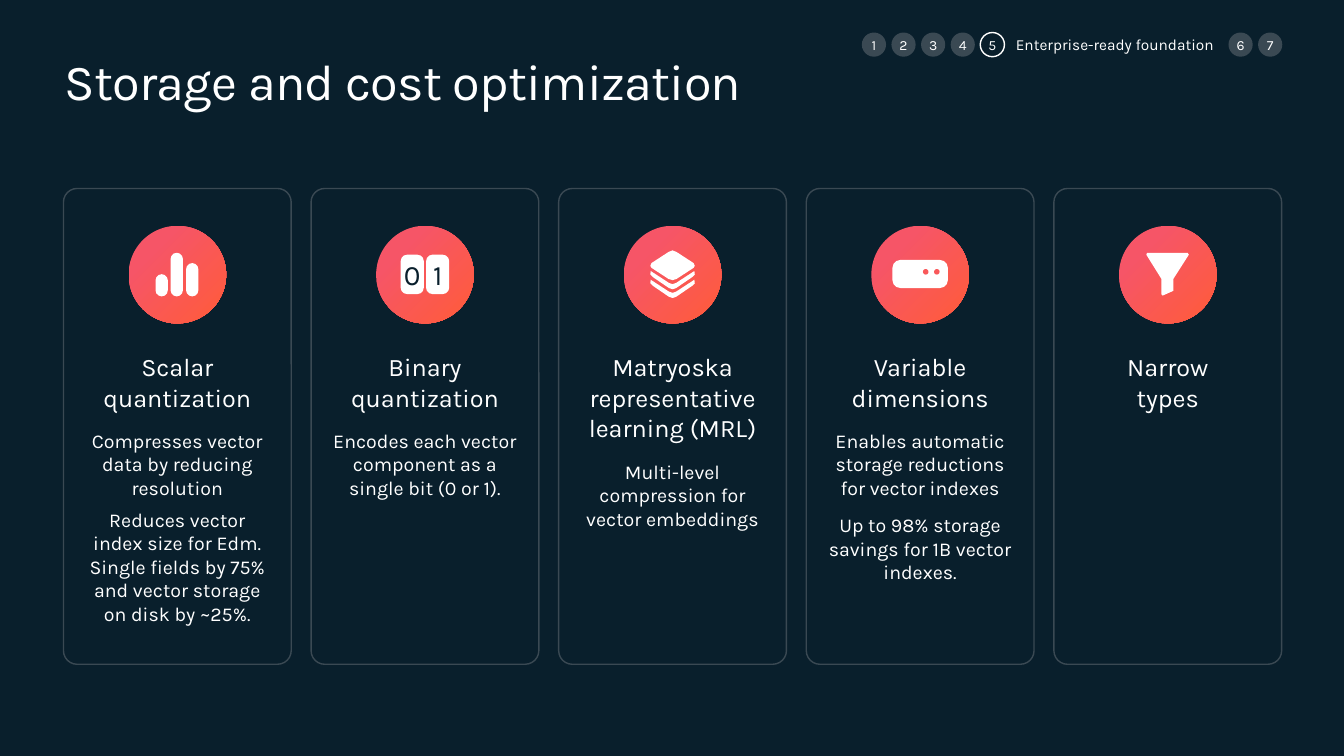
from lxml import etree
from pptx import Presentation
from pptx.dml.color import RGBColor
from pptx.enum import shapes, text
from pptx.oxml.ns import qn
from pptx.util import Cm, Pt

FONT = "Karla"
NAVY, GREY, WHITE = "091F2C", "3A4953", "FFFFFF"
ORANGE, PINK, CORAL = "FF5C39", "F65567", "F9585A"
KIND = shapes.MSO_SHAPE
LEFT, PITCH, WIDTH = 1.6, 6.24, 5.74
MID = 6.92

CARDS = [
    ("Scalar quantization", 4.7, 10.8, 0,
     ["Compresses vector data by reducing resolution",
      "Reduces vector index size for Edm. Single fields by 75% and vector storage on disk by ~25%."]),
    ("Binary quantization", 4.7, 10.8, 0,
     ["Encodes each vector component as a single bit (0 or 1)."]),
    ("Matryoska representative learning (MRL)", 4.7, 11.58, 0,
     ["Multi-level compression for vector embeddings"]),
    ("Variable dimensions", 4.7, 10.8, 4,
     ["Enables automatic storage reductions for vector indexes",
      "Up to 98% storage savings for 1B vector indexes."]),
    ("Narrow types", 3.6, 10.8, 0, []),
]


def rgb(code):
    """Turn a hex string into a colour."""
    return RGBColor.from_string(code)


def write(shape, lines, size, color=WHITE, center=True, after=0, middle=False):
    """Fill the text frame of a shape with paragraphs."""
    frame = shape.text_frame
    frame.margin_left = frame.margin_right = frame.margin_top = frame.margin_bottom = 0
    frame.word_wrap = True
    frame.vertical_anchor = text.MSO_ANCHOR.MIDDLE if middle else text.MSO_ANCHOR.TOP
    for i, line in enumerate(lines):
        para = frame.add_paragraph() if i else frame.paragraphs[0]
        para.text = line
        para.alignment = text.PP_ALIGN.CENTER if center else text.PP_ALIGN.LEFT
        para.space_before = Pt(6 if i else 0)
        para.space_after = Pt(after)
        para.font.name, para.font.size = FONT, Pt(size)
        para.font.color.rgb = rgb(color)


def label(slide, x, y, w, h, lines, size, **look):
    """Add a text box."""
    box = slide.shapes.add_textbox(Cm(x), Cm(y), Cm(w), Cm(h))
    write(box, lines, size, **look)
    return box


def paint(shape, fill=None, line=None):
    """Set the fill and outline of a shape."""
    shape.shadow.inherit = False
    if fill:
        shape.fill.solid()
        shape.fill.fore_color.rgb = rgb(fill)
    else:
        shape.fill.background()
    if line:
        shape.line.color.rgb = rgb(line)
        shape.line.width = Pt(1)
    else:
        shape.line.fill.background()


def draw(slide, kind, x, y, w, h, fill=None, line=None, bend=None):
    """Add a preset shape."""
    shape = slide.shapes.add_shape(kind, Cm(x), Cm(y), Cm(w), Cm(h))
    paint(shape, fill, line)
    if bend is not None:
        shape.adjustments[0] = bend
    return shape


def outline(slide, mid, points):
    """Add a white polygon around the centre of a disc."""
    spots = [(Cm(mid + x), Cm(MID + y)) for x, y in points]
    form = slide.shapes.build_freeform(*spots[0], scale=1.0)
    form.add_line_segments(spots[1:], close=True)
    paint(form.convert_to_shape(), WHITE)


def disc(slide, mid):
    """Add a disc with a radial gradient."""
    shape = draw(slide, KIND.OVAL, mid - 1.23, MID - 1.23, 2.46, 2.46)
    shape.fill.gradient()
    for stop, code, place in zip(shape.fill.gradient_stops, (ORANGE, PINK), (0, 0.75)):
        stop.color.rgb = rgb(code)
        stop.position = place
    grad = shape._element.spPr.find(qn("a:gradFill"))
    grad.remove(grad.find(qn("a:lin")))
    ring = etree.SubElement(grad, qn("a:path"), {"path": "circle"})
    etree.SubElement(ring, qn("a:fillToRect"), {"l": "100000", "t": "100000"})


def bars(slide, mid):
    """Draw the bar icon."""
    for x, top in ((-0.55, -0.01), (-0.17, -0.55), (0.22, -0.29)):
        draw(slide, KIND.ROUNDED_RECTANGLE, mid + x, MID + top, 0.31, 0.55 - top, WHITE, bend=0.5)


def bits(slide, mid):
    """Draw the two digit tiles."""
    for x, digit in ((-0.61, "0"), (0.03, "1")):
        tile = draw(slide, KIND.ROUNDED_RECTANGLE, mid + x, MID - 0.5, 0.58, 0.99, WHITE, bend=0.27)
        write(tile, [digit], 20, NAVY, middle=True)


def layers(slide, mid):
    """Draw the stack of layers."""
    top = [(0, -0.61), (0.1, -0.57), (0.53, -0.29), (0.56, -0.22),
           (0.53, -0.17), (0.1, 0.11), (0, 0.14)]
    fold = [(0, 0.24), (0.09, 0.21), (0.55, -0.09), (0.56, 0),
            (0.5, 0.06), (0.09, 0.34), (0, 0.37)]
    for half, drop in ((top, 0), (fold, 0), (fold, 0.22)):
        right = [(x, y + drop) for x, y in half]
        outline(slide, mid, right + [(-x, y) for x, y in right[-2:0:-1]])


def drive(slide, mid):
    """Draw the storage drive icon."""
    draw(slide, KIND.ROUNDED_RECTANGLE, mid - 0.7, MID - 0.37, 1.4, 0.71, WHITE, bend=0.29)
    for x in (0.07, 0.35):
        draw(slide, KIND.OVAL, mid + x, MID - 0.14, 0.14, 0.14, CORAL)


def funnel(slide, mid):
    """Draw the funnel icon."""
    outline(slide, mid, [(-0.52, -0.55), (0.5, -0.55), (0.53, -0.5), (0.14, 0.11), (0.14, 0.41),
                         (-0.13, 0.53), (-0.16, 0.5), (-0.16, 0.11), (-0.54, -0.5)])


def card(slide, i, icon):
    """Draw one card with its icon and text."""
    head, wide, low, after, body = CARDS[i]
    x = LEFT + i * PITCH
    mid = x + WIDTH / 2
    disc(slide, mid)
    draw(slide, KIND.ROUNDED_RECTANGLE, x, 4.75, WIDTH, 11.99, line=GREY, bend=0.06)
    if body:
        label(slide, mid - 2.35, low, 4.7, 1.8 if len(body) == 1 else 4.5, body, 14, after=after)
    label(slide, mid - wide / 2, 8.86, wide, low - 9.25, [head], 18)
    icon(slide, mid)


def steps(slide, now):
    """Draw the numbered progress row."""
    for n in range(1, 8):
        x = 21.72 + (n - 1) * 0.746 if n <= now else 30.96 + (n - now - 1) * 0.746
        fill, line = (NAVY, WHITE) if n == now else (GREY, None)
        dot = draw(slide, KIND.OVAL, x, 0.82, 0.61, 0.61, fill, line)
        write(dot, [str(n)], 10, middle=True)
    name = label(slide, 25.6, 0.89, 5, 0.48, ["Enterprise-ready foundation"], 11,
                 center=False, middle=True)
    name.text_frame.word_wrap = False


def main():
    """Build the slide."""
    deck = Presentation()
    deck.slide_width, deck.slide_height = Cm(33.87), Cm(19.05)
    slide = deck.slides.add_slide(deck.slide_layouts[6])
    slide.background.fill.solid()
    slide.background.fill.fore_color.rgb = rgb(NAVY)
    title = label(slide, 1.63, 1.27, 20.96, 1.55, ["Storage and cost optimization"], 36, center=False)
    title.text_frame.paragraphs[0].runs[0]._r.get_or_add_rPr().set("spc", "-50")
    for i, icon in enumerate((bars, bits, layers, drive, funnel)):
        card(slide, i, icon)
    steps(slide, 5)
    deck.save("out.pptx")


if __name__ == "__main__":
    main()
